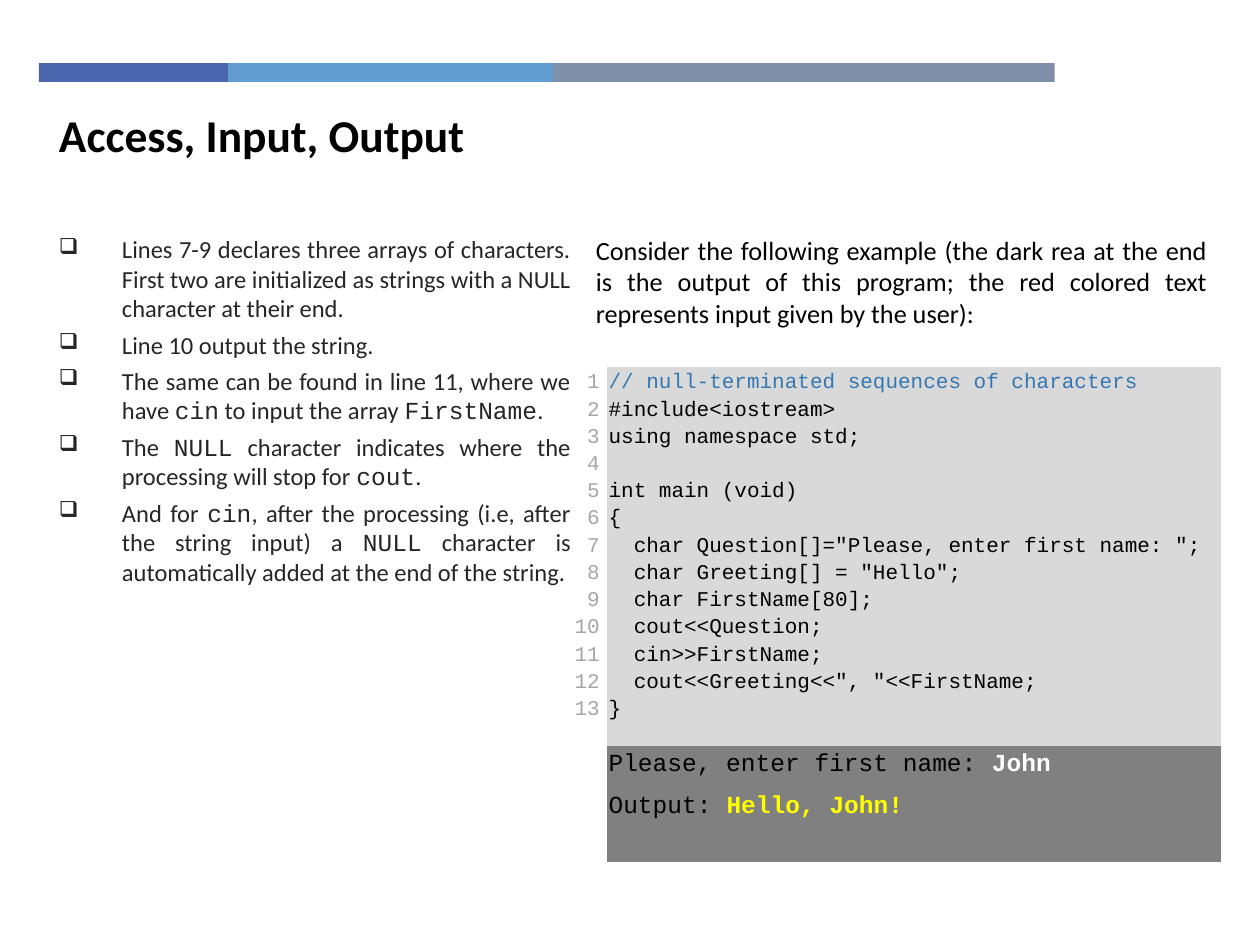
"""Build the slide on access, input and output of character arrays."""
from dataclasses import dataclass, replace

from lxml import etree
from pptx import Presentation
from pptx.dml.color import RGBColor
from pptx.enum.shapes import MSO_SHAPE
from pptx.enum.text import PP_ALIGN
from pptx.oxml.ns import qn
from pptx.util import Emu, Inches, Pt

RECTANGLE = MSO_SHAPE.RECTANGLE
LEFT, RIGHT, JUSTIFY = PP_ALIGN.LEFT, PP_ALIGN.RIGHT, PP_ALIGN.JUSTIFY
SLIDE_WIDTH, SLIDE_HEIGHT = Inches(10), Inches(7.5)
COLUMNS, ROWS = 100, 75
BLANK_LAYOUT = 6
NO_GRID_STYLE = "{2D5ABB26-0587-4C30-8999-92F81FD0307C}"


@dataclass(frozen=True)
class Style:
    """Look of a span of text."""
    font: str
    size: float
    color: str
    bold: bool = False


@dataclass(frozen=True)
class Theme:
    """Colours and type styles of the slide."""
    bars: tuple = ("4A66AC", "629DD1", "7F8FA9")
    code_fill: str = "D9D9D9"
    output_fill: str = "808080"
    title: Style = Style("Calibri", 26, "000000", True)
    intro: Style = Style("Calibri", 15, "000000")
    note: Style = Style("Calibri", 14, "262626")
    note_code: Style = Style("Courier New", 14, "262626")
    number: Style = Style("Courier New", 12, "A6A6A6")
    code: Style = Style("Courier New", 12, "000000")
    comment: Style = Style("Courier New", 12, "3477B2")
    output: Style = Style("Courier New", 14, "000000")


THEME = Theme()
TYPED = replace(THEME.output, color="FFFFFF", bold=True)
GREETING = replace(THEME.output, color="FFFF00", bold=True)
BAR_WIDTHS = (15, 25.8, 39.8)
TITLE = "Access, Input, Output"
INTRO = (
    "Consider the following example (the dark rea at the end is the output of "
    "this program; the red colored text represents input given by the user):"
)
NOTES = (
    "Lines 7-9 declares three arrays of characters. First two are initialized "
    "as strings with a NULL character at their end.",
    "Line 10 output the string.",
    "The same can be found in line 11, where we have `cin` to input the array `FirstName`.",
    "The `NULL` character indicates where the processing will stop for `cout`.",
    "And for `cin`, after the processing (i.e, after the string input) a `NULL` "
    "character is automatically added at the end of the string.",
)
CODE = """// null-terminated sequences of characters
#include<iostream>
using namespace std;

int main (void)
{
  char Question[]="Please, enter first name: ";
  char Greeting[] = "Hello";
  char FirstName[80];
  cout<<Question;
  cin>>FirstName;
  cout<<Greeting<<", "<<FirstName;
}""".split("\n")
OUTPUT = (
    (("Please, enter first name: ", THEME.output), ("John", TYPED)),
    (("Output: ", THEME.output), ("Hello, John!", GREETING)),
)


def across(columns):
    """Return the length of a number of grid columns."""
    return Emu(round(SLIDE_WIDTH * columns / COLUMNS))


def down(rows):
    """Return the length of a number of grid rows."""
    return Emu(round(SLIDE_HEIGHT * rows / ROWS))


def place(left, top, width, height):
    """Turn grid units into a position and size."""
    return across(left), down(top), across(width), down(height)


def style_span(span, style):
    """Give a run its font, size, colour and weight."""
    span.font.name = style.font
    span.font.size = Pt(style.size)
    span.font.bold = style.bold
    span.font.color.rgb = RGBColor.from_string(style.color)


def size_empty_line(para, style):
    """Keep the height of an empty line of code."""
    end = etree.SubElement(para._p, qn("a:endParaRPr"), sz=str(int(style.size * 100)))
    etree.SubElement(end, qn("a:latin"), typeface=style.font)


def write(frame, lines, align=LEFT, spacing=None):
    """Write lines made of (text, style) spans and return their paragraphs."""
    frame.text = "\n".join("" for _ in lines)
    for para, line in zip(frame.paragraphs, lines):
        para.alignment = align
        if spacing:
            para.line_spacing = spacing
        for text, style in line:
            if text:
                span = para.add_run()
                span.text = text
                style_span(span, style)
            elif len(line) == 1:
                size_empty_line(para, style)
    return frame.paragraphs


def add_text(page, area, lines, align=LEFT):
    """Add a wrapping text box and return its paragraphs."""
    frame = page.shapes.add_textbox(*place(*area)).text_frame
    frame.word_wrap = True
    return write(frame, lines, align)


def add_bars(page):
    """Add the row of coloured bars, each starting where the last one ends."""
    left = 3.1
    for width, color in zip(BAR_WIDTHS, THEME.bars):
        bar = page.shapes.add_shape(RECTANGLE, *place(left, 5, width, 1.5))
        bar.shadow.inherit = False
        bar.fill.solid()
        bar.fill.fore_color.rgb = RGBColor.from_string(color)
        bar.line.fill.background()
        left += width


def add_bullet(para):
    """Give a paragraph a hanging box bullet."""
    para.space_before = para.space_after = Pt(2)
    props = para._p.get_or_add_pPr()
    props.set("marL", str(across(5)))
    props.set("indent", str(-across(5)))
    etree.SubElement(props, qn("a:buSzPct"), val="90000")
    etree.SubElement(props, qn("a:buChar"), char="❑")


def add_notes(page):
    """Add the bulleted notes, with code words between backticks."""
    styles = (THEME.note, THEME.note_code)
    lines = [
        [(part, styles[index % 2]) for index, part in enumerate(note.split("`"))]
        for note in NOTES
    ]
    for para in add_text(page, (3.7, 18.1, 42.6, 56.9), lines, JUSTIFY):
        add_bullet(para)


def format_cell(cell, fill=None, right=0.1):
    """Set the margins and fill of a table cell."""
    cell.margin_left = cell.margin_top = cell.margin_bottom = across(0.1)
    cell.margin_right = across(right)
    if fill:
        cell.fill.solid()
        cell.fill.fore_color.rgb = RGBColor.from_string(fill)
    else:
        cell.fill.background()


def add_listing(page):
    """Add the table with line numbers, program and output."""
    table = page.shapes.add_table(2, 2, *place(45.4, 29.1, 51.5, 39.2)).table
    table.first_row = table.horz_banding = False
    table._tbl.tblPr.find(qn("a:tableStyleId")).text = NO_GRID_STYLE
    for column, width in zip(table.columns, (2.8, 48.7)):
        column.width = across(width)
    for row, height in zip(table.rows, (30, 9.2)):
        row.height = down(height)
    numbers, code, blank, output = table.iter_cells()
    format_cell(numbers, right=0.6)
    format_cell(code, THEME.code_fill)
    format_cell(blank)
    format_cell(output, THEME.output_fill)
    count = range(1, len(CODE) + 1)
    write(numbers.text_frame, [[(str(n), THEME.number)] for n in count], RIGHT, 1.15)
    lines = [
        [(line, THEME.comment if line.startswith("//") else THEME.code)] for line in CODE
    ]
    write(code.text_frame, lines, spacing=1.15)
    reply = write(output.text_frame, OUTPUT, spacing=1.15)[-1]
    reply.space_before = reply.space_after = Pt(6)


def main():
    """Build and save the deck."""
    deck = Presentation()
    deck.slide_width, deck.slide_height = SLIDE_WIDTH, SLIDE_HEIGHT
    page = deck.slides.add_slide(deck.slide_layouts[BLANK_LAYOUT])
    add_bars(page)
    add_notes(page)
    add_listing(page)
    add_text(page, (46.3, 18.1, 50.5, 8.6), [[(INTRO, THEME.intro)]], JUSTIFY)
    add_text(page, (3.7, 8, 71.6, 5.4), [[(TITLE, THEME.title)]])
    deck.save("out.pptx")


if __name__ == "__main__":
    main()
